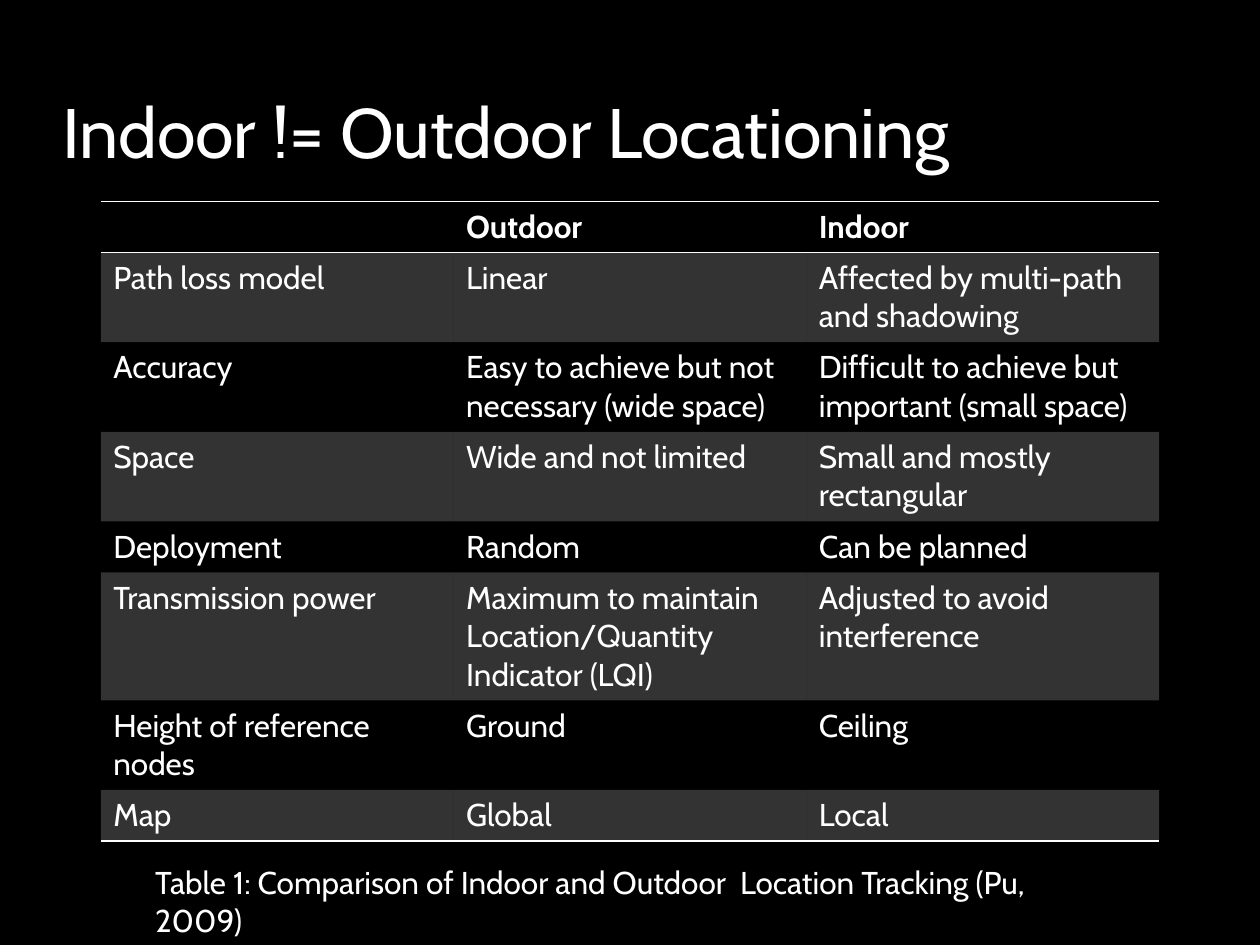
from lxml import etree
from pptx import Presentation
from pptx import util as u
from pptx.dml import color
from pptx.enum import text
from pptx.oxml import ns

FONT = "Cabin"
WHITE, BLACK = "FFFFFF", "000000"
COMPARISON = [
    ("", "Outdoor", "Indoor"),
    ("Path loss model", "Linear", "Affected by multi-path and shadowing"),
    ("Accuracy", "Easy to achieve but not necessary (wide space)",
     "Difficult to achieve but important (small space)"),
    ("Space", "Wide and not limited", "Small and mostly rectangular"),
    ("Deployment", "Random", "Can be planned"),
    ("Transmission power", "Maximum to maintain Location/Quantity Indicator (LQI)",
     "Adjusted to avoid interference"),
    ("Height of reference nodes", "Ground", "Ceiling"),
    ("Map", "Global", "Local"),
]


def paint(target, value):
    """Give a font or a fill a solid colour from a hex string."""
    fill = target.fill if hasattr(target, "fill") else target
    fill.solid()
    fill.fore_color.rgb = color.RGBColor.from_string(value)


def add_run(paragraph, words, size, bold=False):
    """Add one white run to a paragraph."""
    run = paragraph.add_run()
    run.text = words
    run.font.name, run.font.size, run.font.bold = FONT, u.Pt(size), bold
    paint(run.font, WHITE)


def add_text(slide, box, words, size, anchor, space_before=0):
    """Place a wrapping text box in the given box."""
    shape = slide.shapes.add_textbox(*map(u.Pt, box))
    frame = shape.text_frame
    frame.word_wrap = True
    frame.vertical_anchor = anchor
    paragraph = frame.paragraphs[0]
    paragraph.space_before = u.Pt(space_before)
    add_run(paragraph, words, size)


def set_borders(cell, ruled_sides):
    """Draw a 1 pt white line on the ruled sides and none on the others."""
    properties = cell._tc.get_or_add_tcPr()
    for index, side in enumerate("LRTB"):
        line = etree.Element(ns.qn("a:ln" + side), w=str(u.Pt(1)))
        if side in ruled_sides:
            solid = etree.SubElement(line, ns.qn("a:solidFill"))
            etree.SubElement(solid, ns.qn("a:srgbClr"), val=WHITE)
        else:
            etree.SubElement(line, ns.qn("a:noFill"))
        properties.insert(index, line)


def fill_band(cell, shaded):
    """Fill a cell with 20 % white, or leave it clear."""
    if not shaded:
        cell.fill.background()
        return
    paint(cell, WHITE)
    tint = cell._tc.tcPr.find(".//" + ns.qn("a:srgbClr"))
    etree.SubElement(tint, ns.qn("a:alpha"), val="20000")


def add_comparison(slide, box, rows):
    """Place the banded table, ruled above and below its header and at its end."""
    frame = slide.shapes.add_table(len(rows), len(rows[0]), *map(u.Pt, box))
    table = frame.table
    ruled_edges = {0, 1, len(rows)}
    for row_index, row in enumerate(rows):
        sides = [side for side, edge in (("T", row_index), ("B", row_index + 1))
                 if edge in ruled_edges]
        for column_index, words in enumerate(row):
            cell = table.cell(row_index, column_index)
            if words:
                add_run(cell.text_frame.paragraphs[0], words, 18, row_index == 0)
            fill_band(cell, row_index % 2 == 1)
            set_borders(cell, sides)


def build_slide(presentation):
    """Build the slide with its title, table and caption."""
    slide = presentation.slides.add_slide(presentation.slide_layouts[6])
    paint(slide.background, BLACK)
    add_comparison(slide, (57.6, 115.2, 604.8, 233.6), COMPARISON)
    add_text(slide, (28.4, 18, 604.8, 84), "Indoor != Outdoor Locationing", 40,
             text.MSO_ANCHOR.BOTTOM, space_before=4)
    add_text(slide, (81.6, 489.6, 556.6, 29),
             "Table 1: Comparison of Indoor and Outdoor  Location Tracking (Pu, 2009)",
             18, text.MSO_ANCHOR.TOP)


presentation = Presentation()
presentation.slide_width, presentation.slide_height = u.Pt(720), u.Pt(540)
build_slide(presentation)
presentation.save("out.pptx")
